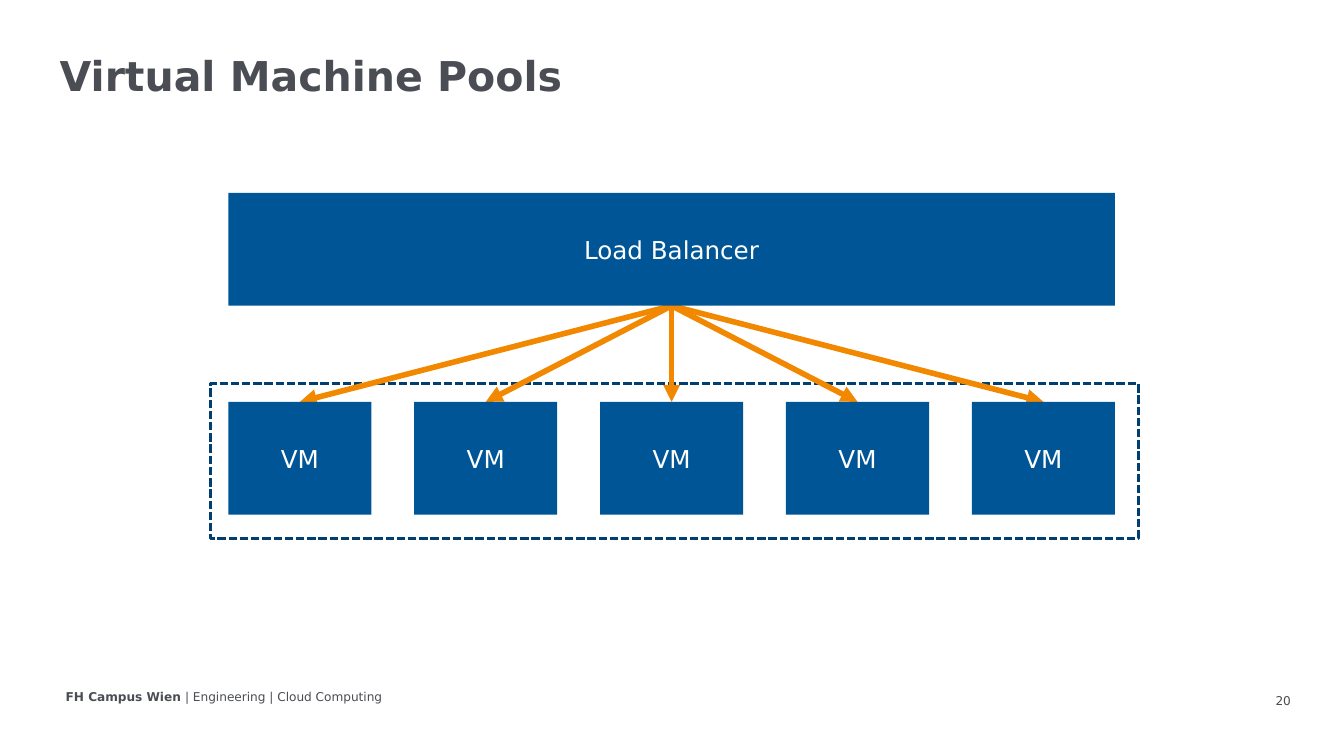
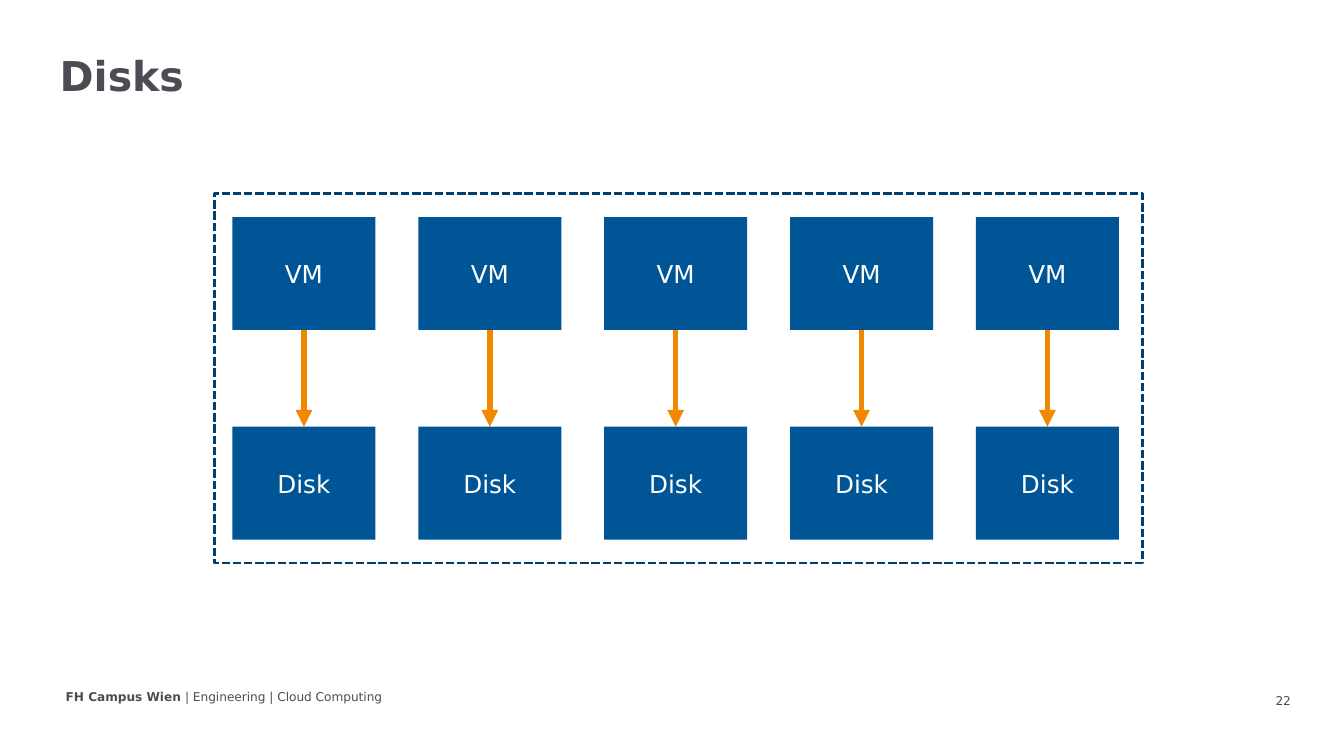
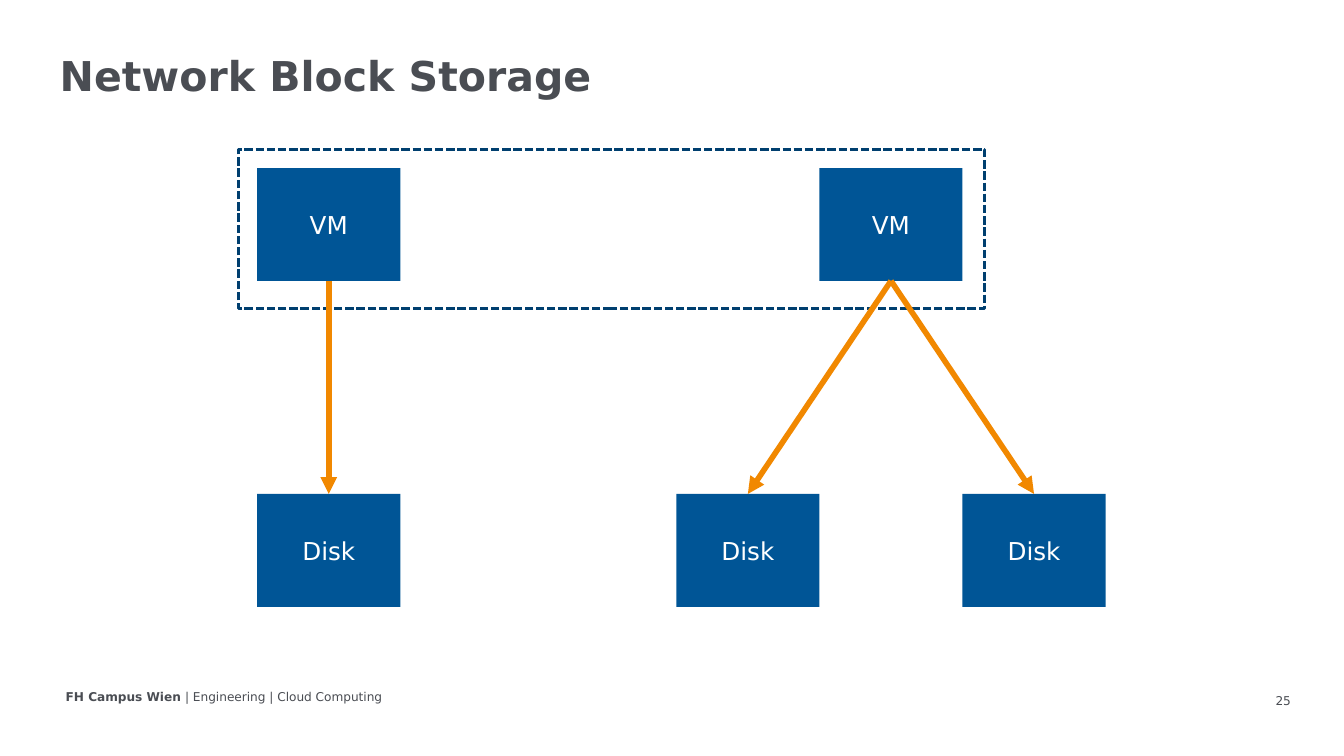
"""Build three slides on virtual machine pools, disks and network block storage."""
from dataclasses import dataclass

import lxml.etree
import pptx
import pptx.dml.color
import pptx.enum.dml
import pptx.enum.shapes
import pptx.enum.text
import pptx.oxml.ns
import pptx.util

Inches = pptx.util.Inches
PP_ALIGN = pptx.enum.text.PP_ALIGN
MSO_ANCHOR = pptx.enum.text.MSO_ANCHOR
RECTANGLE = pptx.enum.shapes.MSO_SHAPE.RECTANGLE

COLORS = {"text": "4A4D53", "box": "005596", "frame": "003F6F", "arrow": "F18800", "white": "FFFFFF"}
FONT = "DejaVu Sans"
BOX_WIDTH, BOX_HEIGHT = 2.13, 1.68
ROW_WIDTH, ROW_COUNT = 13.2, 5
BOTTOM, TOP = 2, 0


@dataclass
class Area:
    left: float
    top: float
    width: float
    height: float

    def emu(self) -> list[pptx.util.Length]:
        return [Inches(v) for v in (self.left, self.top, self.width, self.height)]


@dataclass
class Box:
    text: str
    left: float
    top: float
    width: float = BOX_WIDTH


@dataclass
class Diagram:
    title: str
    number: int
    frame: Area
    boxes: list[Box]
    links: list[tuple[int, int]]
    links_behind: bool = True


def rgb(name: str) -> pptx.dml.color.RGBColor:
    return pptx.dml.color.RGBColor.from_string(COLORS[name])


def format_run(r, size: float, color: str, bold: bool = False) -> None:
    r.font.name = FONT
    r.font.size = pptx.util.Pt(size)
    r.font.bold = bold
    r.font.color.rgb = rgb(color)


def add_text(s, area: Area, parts: list[tuple[str, bool]], size: float):
    tf = s.shapes.add_textbox(*area.emu()).text_frame
    tf.word_wrap = True
    p = tf.paragraphs[0]
    for text, bold in parts:
        r = p.add_run()
        r.text = text
        format_run(r, size, "text", bold)
    return tf


def add_page_parts(s, title: str, number: int) -> None:
    tf = add_text(s, Area(14.92, 10.21, 4.5, 0.42), [(str(number), False)], 13)
    tf.margin_left = tf.margin_right = Inches(0.2)
    tf.margin_top = tf.margin_bottom = Inches(0.1)
    tf.vertical_anchor = MSO_ANCHOR.MIDDLE
    tf.paragraphs[0].alignment = PP_ALIGN.RIGHT
    footer = [("FH Campus Wien ", True), ("| Engineering | Cloud Computing", False)]
    add_text(s, Area(0.88, 10.21, 6.78, 0.32), footer, 13)
    tf = add_text(s, Area(0.79, 0.78, 18.63, 0.77), [(title, True)], 44)
    tf.paragraphs[0].line_spacing = 0.9


def add_frame(s, area: Area) -> None:
    sp = s.shapes.add_shape(RECTANGLE, *area.emu())
    sp.shadow.inherit = False
    sp.fill.background()
    sp.line.color.rgb = rgb("frame")
    sp.line.width = pptx.util.Pt(3)
    sp.line.dash_style = pptx.enum.dml.MSO_LINE.SQUARE_DOT


def add_box(s, box: Box):
    sp = s.shapes.add_shape(RECTANGLE, *Area(box.left, box.top, box.width, BOX_HEIGHT).emu())
    sp.shadow.inherit = False
    sp.fill.solid()
    sp.fill.fore_color.rgb = rgb("box")
    sp.line.fill.background()
    tf = sp.text_frame
    tf.text = box.text
    tf.vertical_anchor = MSO_ANCHOR.MIDDLE
    p = tf.paragraphs[0]
    p.alignment = PP_ALIGN.CENTER
    format_run(p.runs[0], 26.4, "white")
    return sp


def add_arrow(s, start, end):
    c = s.shapes.add_connector(pptx.enum.shapes.MSO_CONNECTOR.STRAIGHT, 0, 0, 0, 0)
    c.begin_connect(start, BOTTOM)
    c.end_connect(end, TOP)
    c.line.color.rgb = rgb("arrow")
    c.line.width = pptx.util.Pt(6)
    qn = pptx.oxml.ns.qn
    props = c.element.spPr
    lxml.etree.SubElement(props.find(qn("a:ln")), qn("a:tailEnd"), type="triangle")
    lxml.etree.SubElement(props, qn("a:effectLst"))
    return c


def row(text: str, left: float, top: float) -> list[Box]:
    pitch = (ROW_WIDTH - BOX_WIDTH) / (ROW_COUNT - 1)
    return [Box(text, left + i * pitch, top) for i in range(ROW_COUNT)]


def add_diagram(prs, diagram: Diagram) -> None:
    s = prs.slides.add_slide(prs.slide_layouts[6])
    add_page_parts(s, diagram.title, diagram.number)
    add_frame(s, diagram.frame)
    boxes = [add_box(s, box) for box in diagram.boxes]
    for start, end in diagram.links:
        c = add_arrow(s, boxes[start], boxes[end])
        if diagram.links_behind:
            boxes[0].element.addprevious(c.element)


DIAGRAMS = [
    Diagram(
        "Virtual Machine Pools", 20, Area(3.13, 5.71, 13.82, 2.3),
        [Box("Load Balancer", 3.4, 2.87, ROW_WIDTH)] + row("VM", 3.4, 5.98),
        [(0, i + 1) for i in range(ROW_COUNT)],
    ),
    Diagram(
        "Disks", 22, Area(3.19, 2.88, 13.82, 5.5),
        row("VM", 3.46, 3.23) + row("Disk", 3.46, 6.35),
        [(i, i + ROW_COUNT) for i in range(ROW_COUNT)],
    ),
    Diagram(
        "Network Block Storage", 25, Area(3.55, 2.22, 11.11, 2.37),
        [Box("VM", left, 2.5) for left in (3.83, 12.2)]
        + [Box("Disk", left, 7.35) for left in (3.83, 12.2 - BOX_WIDTH, 12.2 + BOX_WIDTH)],
        [(0, 2), (1, 3), (1, 4)],
        links_behind=False,
    ),
]


def main() -> None:
    prs = pptx.Presentation()
    prs.slide_width, prs.slide_height = Inches(20.01), Inches(11.25)
    for diagram in DIAGRAMS:
        add_diagram(prs, diagram)
    prs.save("out.pptx")


if __name__ == "__main__":
    main()
